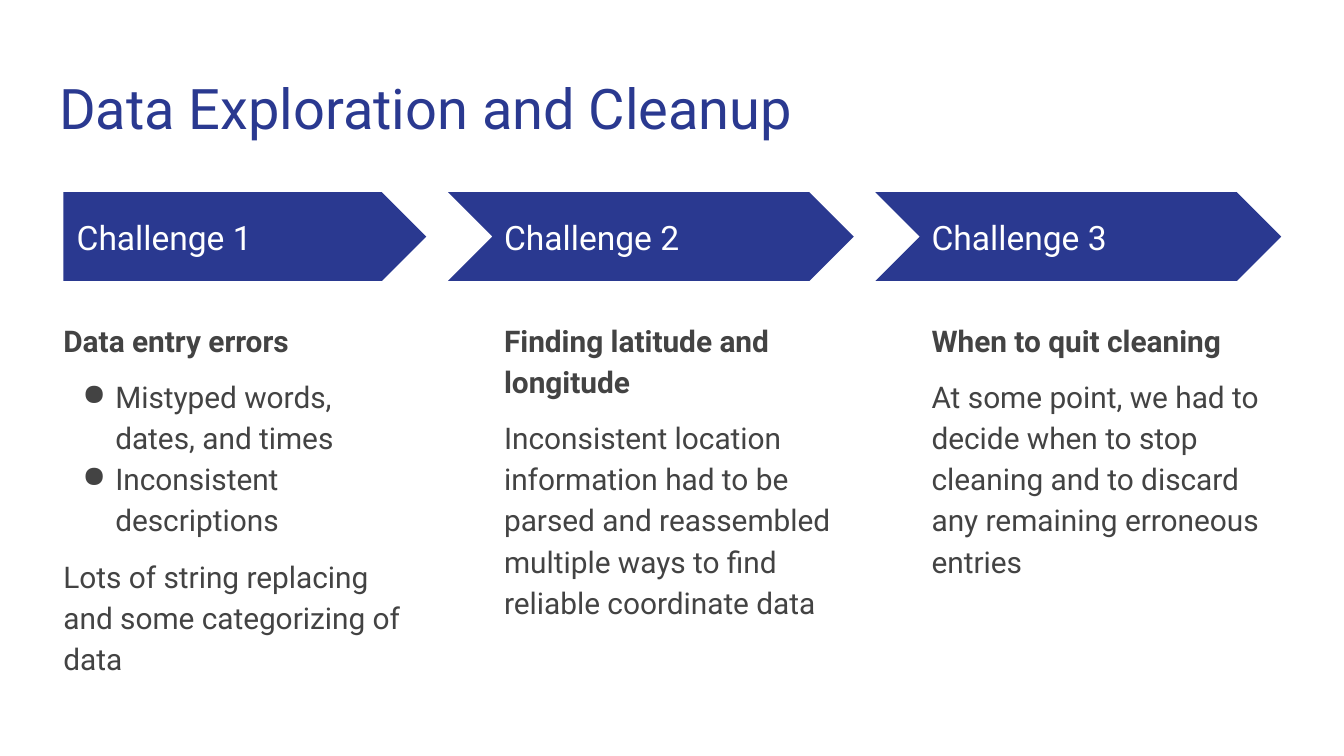
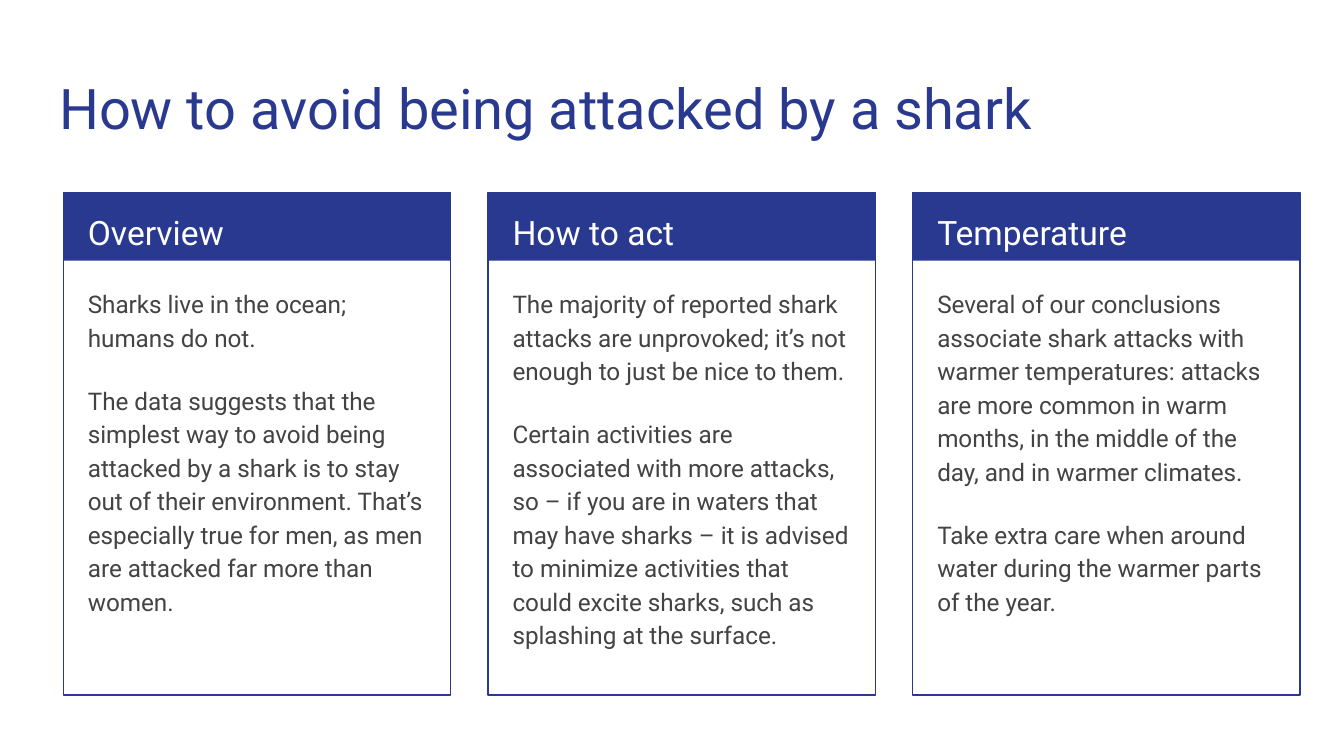
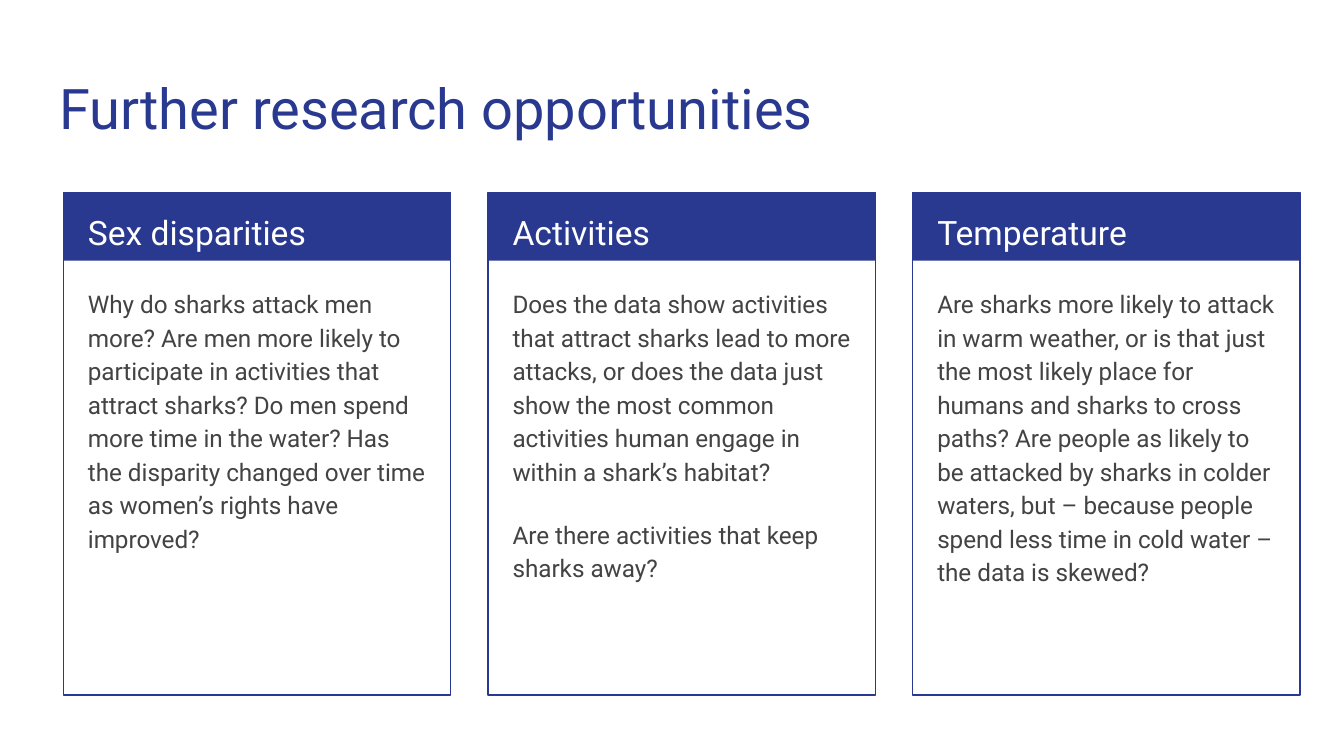
from dataclasses import dataclass

from lxml import etree
from pptx import Presentation
from pptx.dml.color import RGBColor
from pptx.enum.shapes import MSO_SHAPE
from pptx.enum.text import MSO_ANCHOR, MSO_AUTO_SIZE, PP_ALIGN
from pptx.oxml.ns import qn
from pptx.util import Pt

RECT = MSO_SHAPE.RECTANGLE
PENTAGON = MSO_SHAPE.PENTAGON
CHEVRON = MSO_SHAPE.CHEVRON
TOP = MSO_ANCHOR.TOP
MIDDLE = MSO_ANCHOR.MIDDLE
LEFT_ALIGN = PP_ALIGN.LEFT
NO_AUTOFIT = MSO_AUTO_SIZE.NONE

FONT = "Roboto"
NAVY = "2A3990"
GREY = "434343"
WHITE = "FFFFFF"

INSET = 7.2
LINE_SPACING = 1.15
LEFT = 34
BAND_TOP = 103

STEP_PITCH = 229
STEP_W = 194.4
ARROW_H = 47.5
CHEVRON_LEAD = 23

CARD_PITCH = 227.5
CARD_W = 207.4
CARD_H = 269.3
CARD_HEAD_H = 36.7
CARD_PAD = 6


@dataclass
class Para:
    text: str
    before: float = 0
    after: float = 0
    bold: bool = False
    bullet: bool = False


@dataclass
class Challenge:
    label: str
    paras: list[Para]


@dataclass
class Card:
    head: str
    paras: list[str]


CHALLENGES = [
    Challenge("Challenge 1", [
        Para("Data entry errors", bold=True),
        Para("Mistyped words, dates, and times", before=8, bullet=True),
        Para("Inconsistent descriptions", bullet=True),
        Para("Lots of string replacing and some categorizing of data", 8, 8),
    ]),
    Challenge("Challenge 2", [
        Para("Finding latitude and longitude", bold=True),
        Para("Inconsistent location information had to be parsed and reassembled "
             "multiple ways to find reliable coordinate data", 8, 8),
    ]),
    Challenge("Challenge 3", [
        Para("When to quit cleaning", bold=True),
        Para("At some point, we had to decide when to stop cleaning and to discard "
             "any remaining erroneous entries", 8, 8),
    ]),
]

AVOIDING_ATTACKS = [
    Card("Overview", [
        "Sharks live in the ocean; humans do not.",
        "The data suggests that the simplest way to avoid being attacked by a shark "
        "is to stay out of their environment. That’s especially true for men, as men "
        "are attacked far more than women.",
    ]),
    Card("How to act", [
        "The majority of reported shark attacks are unprovoked; it’s not enough to "
        "just be nice to them.",
        "Certain activities are associated with more attacks, so – if you are in "
        "waters that may have sharks – it is advised to minimize activities that "
        "could excite sharks, such as splashing at the surface.",
    ]),
    Card("Temperature", [
        "Several of our conclusions associate shark attacks with warmer temperatures: "
        "attacks are more common in warm months, in the middle of the day, and in "
        "warmer climates.",
        "Take extra care when around water during the warmer parts of the year.",
    ]),
]

FURTHER_RESEARCH = [
    Card("Sex disparities", [
        "Why do sharks attack men more? Are men more likely to participate in "
        "activities that attract sharks? Do men spend more time in the water? Has "
        "the disparity changed over time as women’s rights have improved?",
    ]),
    Card("Activities", [
        "Does the data show activities that attract sharks lead to more attacks, or "
        "does the data just show the most common activities human engage in within a "
        "shark’s habitat?",
        "Are there activities that keep sharks away?",
    ]),
    Card("Temperature", [
        "Are sharks more likely to attack in warm weather, or is that just the most "
        "likely place for humans and sharks to cross paths? Are people as likely to "
        "be attacked by sharks in colder waters, but – because people spend less time "
        "in cold water – the data is skewed?",
    ]),
]


def rgb(color: str) -> RGBColor:
    return RGBColor.from_string(color)


def set_font(p, size: float, color: str, bold: bool = False) -> None:
    for r in p.runs:
        r.font.name = FONT
        r.font.size = Pt(size)
        r.font.bold = bold
        r.font.color.rgb = rgb(color)


def set_frame(tf, anchor=TOP, left_inset: float = INSET) -> None:
    tf.word_wrap = True
    tf.auto_size = NO_AUTOFIT
    tf.vertical_anchor = anchor
    tf.margin_left = Pt(left_inset)
    tf.margin_top = tf.margin_right = tf.margin_bottom = Pt(INSET)


def add_bullet(p, color: str) -> None:
    pPr = p._p.get_or_add_pPr()
    pPr.set("marL", str(Pt(27.8)))
    pPr.set("indent", str(-Pt(17.7)))
    clr = etree.SubElement(pPr, qn("a:buClr"))
    etree.SubElement(clr, qn("a:srgbClr"), val=color)
    etree.SubElement(pPr, qn("a:buChar"), char="●")


def add_text(s, x: float, y: float, w: float, h: float, paras: list[Para],
             size: float, color: str, spacing: float = LINE_SPACING,
             anchor=TOP, left_inset: float = INSET) -> None:
    tf = s.shapes.add_textbox(Pt(x), Pt(y), Pt(w), Pt(h)).text_frame
    set_frame(tf, anchor, left_inset)
    for i, para in enumerate(paras):
        p = tf.add_paragraph() if i else tf.paragraphs[0]
        p.text = para.text
        p.line_spacing = spacing
        p.space_before = Pt(para.before)
        p.space_after = Pt(para.after)
        if para.bullet:
            add_bullet(p, color)
        set_font(p, size, color, para.bold)


def add_block(shapes, kind, x: float, y: float, w: float, h: float,
              fill: str | None = None, line: str | None = None) -> None:
    sp = shapes.add_shape(kind, Pt(x), Pt(y), Pt(w), Pt(h))
    sp.shadow.inherit = False
    if fill:
        sp.fill.solid()
        sp.fill.fore_color.rgb = rgb(fill)
    else:
        sp.fill.background()
    if line:
        sp.line.color.rgb = rgb(line)
        sp.line.width = Pt(0.75)
    else:
        sp.line.fill.background()


def add_titled_slide(prs, title: str):
    s = prs.slides.add_slide(prs.slide_layouts[5])
    sp = s.shapes.title
    sp.left, sp.top, sp.width, sp.height = Pt(24.5), Pt(32.4), Pt(671), Pt(47.5)
    tf = sp.text_frame
    tf.text = title
    set_frame(tf)
    p = tf.paragraphs[0]
    p.alignment = LEFT_ALIGN
    set_font(p, 30, NAVY)
    return s


def add_challenge(s, i: int, item: Challenge) -> None:
    x = LEFT + i * STEP_PITCH
    kind, lead = (CHEVRON, CHEVRON_LEAD) if i else (PENTAGON, 0)
    add_block(s.shapes, kind, x - lead, BAND_TOP, STEP_W + lead, ARROW_H, fill=NAVY)
    add_text(s, x, BAND_TOP, 178, ARROW_H, [Para(item.label)], 18, WHITE,
             spacing=1, anchor=MIDDLE)
    add_text(s, x, 162.7, STEP_W, 209, item.paras, 16, GREY,
             left_inset=INSET if i else 0)


def add_card(s, i: int, card: Card) -> None:
    x = LEFT + i * CARD_PITCH
    shapes = s.shapes.add_group_shape().shapes
    add_block(shapes, RECT, x, BAND_TOP, CARD_W, CARD_HEAD_H, fill=NAVY)
    add_block(shapes, RECT, x, BAND_TOP, CARD_W, CARD_H, line=NAVY)
    text_x, text_w = x + CARD_PAD, CARD_W - 2 * CARD_PAD
    add_text(s, text_x, BAND_TOP, text_w, 36, [Para(card.head)], 18, WHITE)
    paras = [Para(text, 16 if n else 0, 16) if n else Para(text)
             for n, text in enumerate(card.paras)]
    add_text(s, text_x, 145.5, text_w, 220, paras, 13, GREY)


def main() -> None:
    prs = Presentation()
    prs.slide_width, prs.slide_height = Pt(720), Pt(405)
    for title, items, add_item in (
        ("Data Exploration and Cleanup", CHALLENGES, add_challenge),
        ("How to avoid being attacked by a shark", AVOIDING_ATTACKS, add_card),
        ("Further research opportunities", FURTHER_RESEARCH, add_card),
    ):
        s = add_titled_slide(prs, title)
        for i, item in enumerate(items):
            add_item(s, i, item)
    prs.save("out.pptx")


if __name__ == "__main__":
    main()
